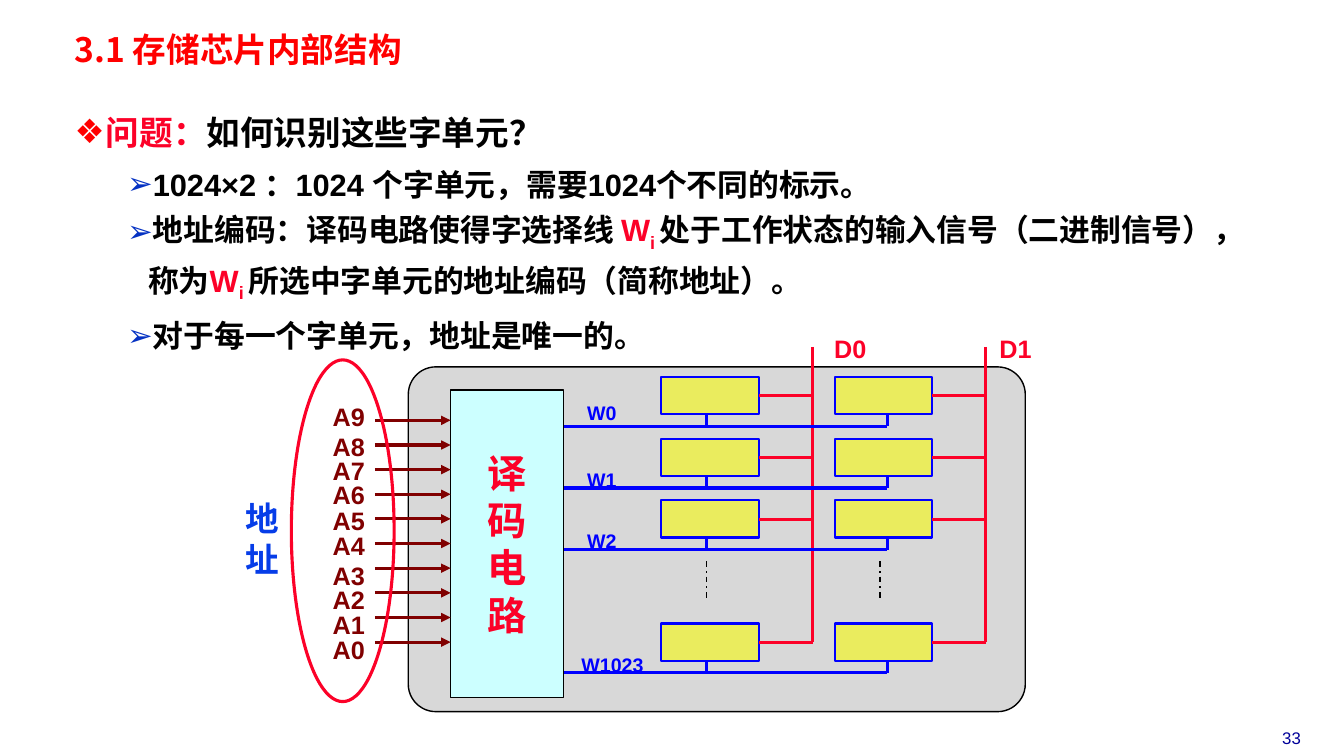
"""Build the slide on how a memory chip decodes addresses into word lines."""
from lxml.etree import SubElement
from pptx import Presentation
from pptx.dml.color import RGBColor
from pptx.enum.dml import MSO_LINE
from pptx.enum.shapes import MSO_CONNECTOR, MSO_SHAPE
from pptx.enum.text import MSO_ANCHOR as Anchor, MSO_AUTO_SIZE, PP_ALIGN as Align
from pptx.oxml.ns import qn
from pptx.util import Inches, Pt

WIDTH, HEIGHT = Inches(13.33), Inches(7.5)
LATIN, CHINESE = "Arial", "Noto Sans CJK SC"

BLACK = RGBColor(0, 0, 0)
RED = RGBColor(0xFF, 0, 0)
CRIMSON = RGBColor(0xFC, 0x01, 0x28)
BLUE = RGBColor(0, 0, 0xFF)
NAVY = RGBColor(0, 0, 0x99)
BULLET_BLUE = RGBColor(0x05, 0x32, 0xC3)
ADDRESS_BLUE = RGBColor(0x06, 0x3D, 0xE8)
MAROON = RGBColor(0x80, 0, 0)
GREY = RGBColor(0xBF, 0xBF, 0xBF)
YELLOW = RGBColor(0xEA, 0xEC, 0x5E)
CYAN = RGBColor(0xCC, 0xFF, 0xFF)

CELL_LEFT, CELL_TOP, CELL_WIDTH, CELL_HEIGHT = 49.21, 49.87, 7.28, 4.93
COLUMN_PITCH, ROW_PITCH = 12.89, 8.15
WORD_DROP, DATA_DROP, DATA_OFFSET = 6.53, 2.5, 11.25
DECODER_LEFT, DECODER_WIDTH = 33.53, 8.4
DECODER_RIGHT = DECODER_LEFT + DECODER_WIDTH

WORDS = [
    (0, "W0", 42.53, 52.4, 4.5),
    (1, "W1", 42.53, 61.2, 4.5),
    (2, "W2", 42.53, 69.33, 4.5),
    (4, "W1023", DECODER_RIGHT, 85.73, 7.28),
]
ADDRESS_TOPS = [52.4, 56.4, 59.6, 62.8, 66.13, 69.47, 73.47, 76.67, 80, 83.2]
DATA_LABELS = [("D0", 60.45), ("D1", 72.75)]
STUB_OFFSETS = [3.37, 3.93]

WORD_LINE_NAME = [("W", CRIMSON, 0), ("i ", CRIMSON, -25000)]
BODY = [
    (0, [("问题：", CRIMSON, 0), ("如何识别这些字单元？", BLACK, 0)]),
    (1, [("1024×2 ：1024 个字单元，需要1024个不同的标示。", BLACK, 0)]),
    (1, [("地址编码：译码电路使得字选择线 ", BLACK, 0), *WORD_LINE_NAME,
         ("处于工作状态的输入信号（二进制信号），称为", BLACK, 0), *WORD_LINE_NAME,
         ("所选中字单元的地址编码（简称地址）。", BLACK, 0)]),
    (1, [("对于每一个字单元，地址是唯一的。", BLACK, 0)]),
]
LEVELS = [("❖", RED, 24, 0.31, -0.31), ("➢", BULLET_BLUE, 22, 0.73, -0.21)]


def across(share):
    """Turn a percentage of the slide's width into a length."""
    return round(WIDTH * share / 100)


def down(share):
    """Turn a percentage of the slide's height into a length."""
    return round(HEIGHT * share / 100)


def area(left, top, width, height):
    """Turn percentages of the slide into a position and a size."""
    return across(left), down(top), across(width), down(height)


def write(paragraph, text, size=18, color=BLACK, font=LATIN, bold=True,
          align=Align.LEFT, pitch=None, baseline=0):
    """Add a formatted run of text to a paragraph."""
    paragraph.alignment = align
    paragraph.space_before = Pt(0)
    if pitch:
        paragraph.line_spacing = Pt(pitch)
    run = paragraph.add_run()
    run.text = text
    run.font.size = Pt(size)
    run.font.bold = bold
    run.font.name = font
    run.font.color.rgb = color
    properties = run.font._element
    SubElement(properties, qn("a:ea")).set("typeface", CHINESE)
    if baseline:
        properties.set("baseline", str(baseline))


def add_label(slide, text, box, **style):
    """Add a wrapping text box."""
    frame = slide.shapes.add_textbox(*area(*box)).text_frame
    frame.word_wrap = True
    write(frame.paragraphs[0], text, **style)


def add_block(slide, kind, box, fill, line, weight):
    """Add a flat preset shape."""
    shape = slide.shapes.add_shape(kind, *area(*box))
    shape.shadow.inherit = False
    if fill is None:
        shape.fill.background()
    else:
        shape.fill.solid()
        shape.fill.fore_color.rgb = fill
    shape.line.color.rgb = line
    shape.line.width = Pt(weight)
    return shape


def add_wire(slide, start, end, color, weight=2.25, dash=None, arrow=False):
    """Add a straight line between two points."""
    wire = slide.shapes.add_connector(
        MSO_CONNECTOR.STRAIGHT, across(start[0]), down(start[1]),
        across(end[0]), down(end[1]))
    wire.line.color.rgb = color
    wire.line.width = Pt(weight)
    if dash:
        wire.line.dash_style = dash
    if arrow:
        SubElement(wire.line._get_or_add_ln(), qn("a:tailEnd")).set("type", "triangle")
    SubElement(wire._element.spPr, qn("a:effectLst"))


def place(placeholder, box):
    """Move a placeholder and return its text frame."""
    placeholder.left, placeholder.top, placeholder.width, placeholder.height = area(*box)
    frame = placeholder.text_frame
    frame.auto_size = MSO_AUTO_SIZE.NONE
    frame.word_wrap = True
    frame.vertical_anchor = Anchor.TOP
    frame.margin_left = frame.margin_right = Inches(0.07)
    frame.margin_top = frame.margin_bottom = Inches(0.03)
    return frame


def add_bullet(paragraph, character, color, indent, hanging):
    """Give a paragraph a coloured bullet and a hanging indent."""
    properties = paragraph._p.get_or_add_pPr()
    properties.set("marL", str(Inches(indent)))
    properties.set("indent", str(Inches(hanging)))
    bullet_color = SubElement(properties, qn("a:buClr"))
    SubElement(bullet_color, qn("a:srgbClr")).set("val", str(color))
    SubElement(properties, qn("a:buFont")).set("typeface", LATIN)
    SubElement(properties, qn("a:buChar")).set("char", character)


def add_body(slide):
    """Fill the body placeholder with the bulleted list."""
    frame = place(slide.placeholders[1], (5.03, 13.07, 89.27, 32.13))
    for index, (level, runs) in enumerate(BODY):
        paragraph = frame.add_paragraph() if index else frame.paragraphs[0]
        character, color, size, indent, hanging = LEVELS[level]
        paragraph.level = level
        add_bullet(paragraph, character, color, indent, hanging)
        for text, run_color, baseline in runs:
            write(paragraph, text, size=size, color=run_color, pitch=36, baseline=baseline)


def add_memory(slide):
    """Draw the chip with its cells, data lines and word lines."""
    panel = add_block(slide, MSO_SHAPE.ROUNDED_RECTANGLE,
                      (30.38, 48.53, 45.91, 45.6), GREY, BLACK, 1)
    panel.adjustments[0] = 0.08
    tint = panel._element.spPr.find(qn("a:solidFill")).find(qn("a:srgbClr"))
    SubElement(tint, qn("a:alpha")).set("val", "60000")
    lefts = [CELL_LEFT + column * COLUMN_PITCH for column in range(2)]
    tops = [CELL_TOP + word[0] * ROW_PITCH for word in WORDS]
    for left, (label, label_left) in zip(lefts, DATA_LABELS):
        data = left + DATA_OFFSET
        for top in tops:
            add_block(slide, MSO_SHAPE.RECTANGLE,
                      (left, top, CELL_WIDTH, CELL_HEIGHT), YELLOW, BLUE, 1.5)
            add_wire(slide, (left + CELL_WIDTH, top + DATA_DROP),
                     (data, top + DATA_DROP), CRIMSON)
        add_wire(slide, (data, 45.87), (data, tops[-1] + DATA_DROP), CRIMSON)
        add_wire(slide, (left + STUB_OFFSETS[0], 74.27), (left + STUB_OFFSETS[0], 79.2),
                 BLACK, weight=1, dash=MSO_LINE.DASH_DOT)
        add_label(slide, label, (label_left, 43.47, 5.63, 5.33),
                  color=CRIMSON, align=Align.CENTER)
    stubs = [left + offset for left, offset in zip(lefts, STUB_OFFSETS)]
    for top, (_, label, label_left, label_top, width) in zip(tops, WORDS):
        level = top + WORD_DROP
        add_wire(slide, (DECODER_RIGHT, level), (stubs[-1], level), BLUE)
        for stub in stubs:
            add_wire(slide, (stub, top + CELL_HEIGHT), (stub, level), BLUE)
        add_label(slide, label, (label_left, label_top, width, 4.53),
                  size=14, color=BLUE, align=Align.CENTER)


def add_decoder(slide):
    """Draw the decoder with its address inputs."""
    decoder = add_block(slide, MSO_SHAPE.RECTANGLE,
                        (DECODER_LEFT, 51.6, DECODER_WIDTH, 40.67), CYAN, BLACK, 1)
    frame = decoder.text_frame
    frame.word_wrap = False
    frame.vertical_anchor = Anchor.MIDDLE
    for index, character in enumerate("译码电路"):
        paragraph = frame.add_paragraph() if index else frame.paragraphs[0]
        write(paragraph, character, size=28, color=CRIMSON, font=CHINESE,
              align=Align.CENTER, pitch=33.6)
    for index, top in enumerate(ADDRESS_TOPS):
        level = 55.6 + 3.26 * index
        add_wire(slide, (27.9, level), (DECODER_LEFT, level), MAROON, arrow=True)
        add_label(slide, f"A{9 - index}", (24, top, 3.9, 5.33),
                  color=MAROON, align=Align.CENTER)
    add_block(slide, MSO_SHAPE.OVAL, (21.68, 47.6, 7.65, 45.2), None, CRIMSON, 2.25)
    add_label(slide, "地址", (17.55, 65.3, 4.13, 12.13),
              size=24, color=ADDRESS_BLUE, pitch=28.6)


def main():
    """Build and save the presentation."""
    presentation = Presentation()
    presentation.slide_width, presentation.slide_height = WIDTH, HEIGHT
    slide = presentation.slides.add_slide(presentation.slide_layouts[1])
    title = place(slide.shapes.title, (5.03, 3.73, 48.15, 5.47))
    write(title.paragraphs[0], "3.1 存储芯片内部结构", size=24, color=RED,
          font=CHINESE, pitch=27)
    add_body(slide)
    add_memory(slide)
    add_decoder(slide)
    add_label(slide, "33", (92.57, 95.6, 7.05, 4), size=12, color=NAVY,
              bold=False, align=Align.CENTER)
    presentation.save("out.pptx")


if __name__ == "__main__":
    main()
